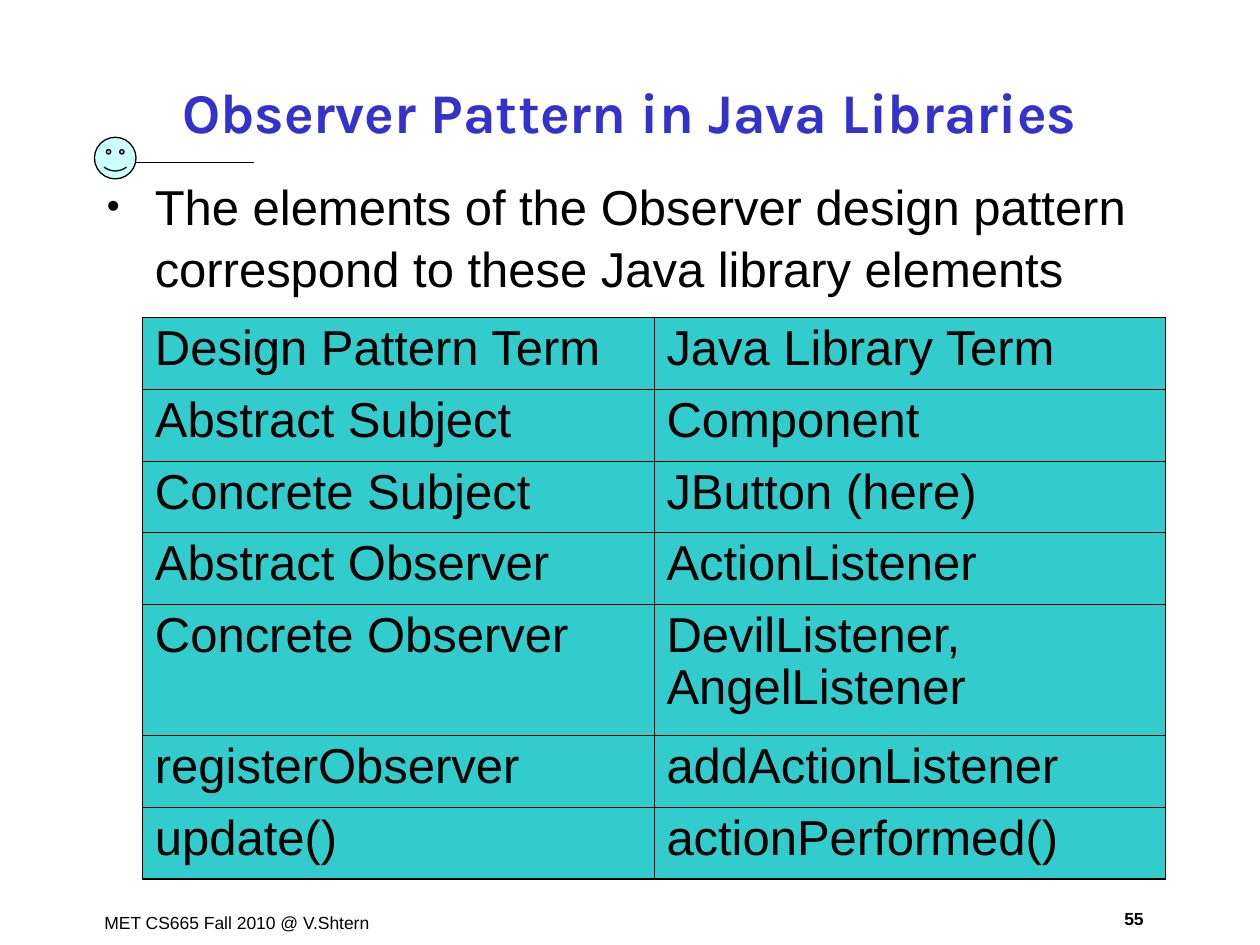
from dataclasses import dataclass

from lxml.etree import SubElement
from pptx import Presentation
from pptx.dml.color import RGBColor
from pptx.enum.shapes import MSO_CONNECTOR, MSO_SHAPE
from pptx.enum.text import MSO_ANCHOR, PP_ALIGN
from pptx.oxml.ns import qn
from pptx.util import Inches, Pt

WIDTH, HEIGHT = Inches(10), Inches(7.5)
BLACK, BLUE, AQUA, TEAL = "000000", "3333CC", "CCFFFF", "33CCCC"
THIN, THICK = 0.45, 1.08
ROWS = [
    ("Design Pattern Term", "Java Library Term"),
    ("Abstract Subject", "Component"),
    ("Concrete Subject", "JButton (here)"),
    ("Abstract Observer", "ActionListener"),
    ("Concrete Observer", "DevilListener, AngelListener"),
    ("registerObserver", "addActionListener"),
    ("update()", "actionPerformed()"),
]
ROW_SHARE, TALL_ROW_SHARE, TALL_ROW = 7.59, 13.87, 4


@dataclass(frozen=True)
class Area:
    """A rectangle in percent of the slide's width and height."""
    left: float
    top: float
    width: float
    height: float

    def lengths(self) -> tuple:
        return across(self.left), down(self.top), across(self.width), down(self.height)


def across(share: float) -> int:
    return round(WIDTH * share / 100)


def down(share: float) -> int:
    return round(HEIGHT * share / 100)


def color(value: str) -> RGBColor:
    return RGBColor.from_string(value)


def write(frame, text: str, *, size: float = 28, font: str = "Arial", fill: str = BLACK,
          bold: bool = False, align=PP_ALIGN.LEFT, before: float = 0, spacing: float = 1):
    frame.word_wrap = True
    paragraph = frame.paragraphs[0]
    paragraph.alignment = align
    paragraph.space_before = Pt(before)
    paragraph.line_spacing = spacing
    span = paragraph.add_run()
    span.text = text
    span.font.size, span.font.name, span.font.bold = Pt(size), font, bold
    span.font.color.rgb = color(fill)
    return paragraph


def add_text(page, area: Area, text: str, anchor=MSO_ANCHOR.TOP, **style):
    box = page.shapes.add_textbox(*area.lengths())
    box.text_frame.vertical_anchor = anchor
    return write(box.text_frame, text, **style)


def add_bullet(paragraph, indent: int) -> None:
    properties = paragraph._p.get_or_add_pPr()
    properties.set("marL", str(indent))
    properties.set("indent", str(-indent))
    SubElement(properties, qn("a:buSzPct"), val="75000")
    SubElement(properties, qn("a:buFont"), typeface="Arial")
    SubElement(properties, qn("a:buChar"), char="•")


def set_borders(cell, **widths: float) -> None:
    """Draw black cell edges; each keyword is L, R, T or B with a width in points."""
    properties = cell._tc.get_or_add_tcPr()
    for position, (side, width) in enumerate(widths.items()):
        edge = properties.makeelement(qn(f"a:ln{side}"), {"w": str(Pt(width))})
        SubElement(SubElement(edge, qn("a:solidFill")), qn("a:srgbClr"), val=BLACK)
        properties.insert(position, edge)


def add_terms_table(page, area: Area) -> None:
    row_count, column_count = len(ROWS), len(ROWS[0])
    table = page.shapes.add_table(row_count, column_count, *area.lengths()).table
    table.first_row = table.horz_banding = False
    for column in table.columns:
        column.width = across(area.width / column_count)
    for r, terms in enumerate(ROWS):
        table.rows[r].height = down(TALL_ROW_SHARE if r == TALL_ROW else ROW_SHARE)
        for c, term in enumerate(terms):
            cell = table.cell(r, c)
            cell.fill.solid()
            cell.fill.fore_color.rgb = color(TEAL)
            write(cell.text_frame, term, before=7, spacing=0.96)
            set_borders(
                cell,
                L=THICK if c == 0 else THIN,
                R=THICK if c == column_count - 1 else THIN,
                T=THICK if r == 0 else THIN,
                B=THICK if r == row_count - 1 else THIN,
            )


def add_smiley(page, area: Area) -> None:
    smiley = page.shapes.add_shape(MSO_SHAPE.SMILEY_FACE, *area.lengths())
    smiley.shadow.inherit = False
    smiley.fill.solid()
    smiley.fill.fore_color.rgb = color(AQUA)
    smiley.line.color.rgb = color(BLACK)
    smiley.line.width = Pt(0.75)


def add_rule(page, left: float, right: float, top: float) -> None:
    rule = page.shapes.add_connector(
        MSO_CONNECTOR.STRAIGHT, across(left), down(top), across(right), down(top))
    rule.line.color.rgb = color(BLACK)
    rule.line.width = Pt(1)
    SubElement(rule._element.spPr, qn("a:effectLst"))


def main() -> None:
    deck = Presentation()
    deck.slide_width, deck.slide_height = WIDTH, HEIGHT
    page = deck.slides.add_slide(deck.slide_layouts[6])

    add_text(page, Area(7.3, 95.87, 24.1, 3.6), "MET CS665 Fall 2010 @ V.Shtern",
             size=10, before=6.2)
    add_text(page, Area(87.3, 95.47, 5.4, 3.6), "55", size=10, bold=True,
             align=PP_ALIGN.CENTER, before=6.2)
    add_smiley(page, Area(7.5, 14.53, 3.3, 4.4))
    add_rule(page, left=10.8, right=20.2, top=17.2)
    add_text(page, Area(7.5, 6.4, 85, 10.67), "Observer Pattern in Java Libraries",
             MSO_ANCHOR.MIDDLE, size=32, font="Karla", fill=BLUE, bold=True,
             align=PP_ALIGN.CENTER)
    statement = add_text(
        page, Area(7.5, 17.73, 88.8, 76.8),
        "The elements of the Observer design pattern correspond to these Java library elements",
        before=7, spacing=1.05)
    add_bullet(statement, across(3.8))
    add_terms_table(page, Area(11.3, 33.6, 81.2, 59.41))

    deck.save("out.pptx")


if __name__ == "__main__":
    main()
